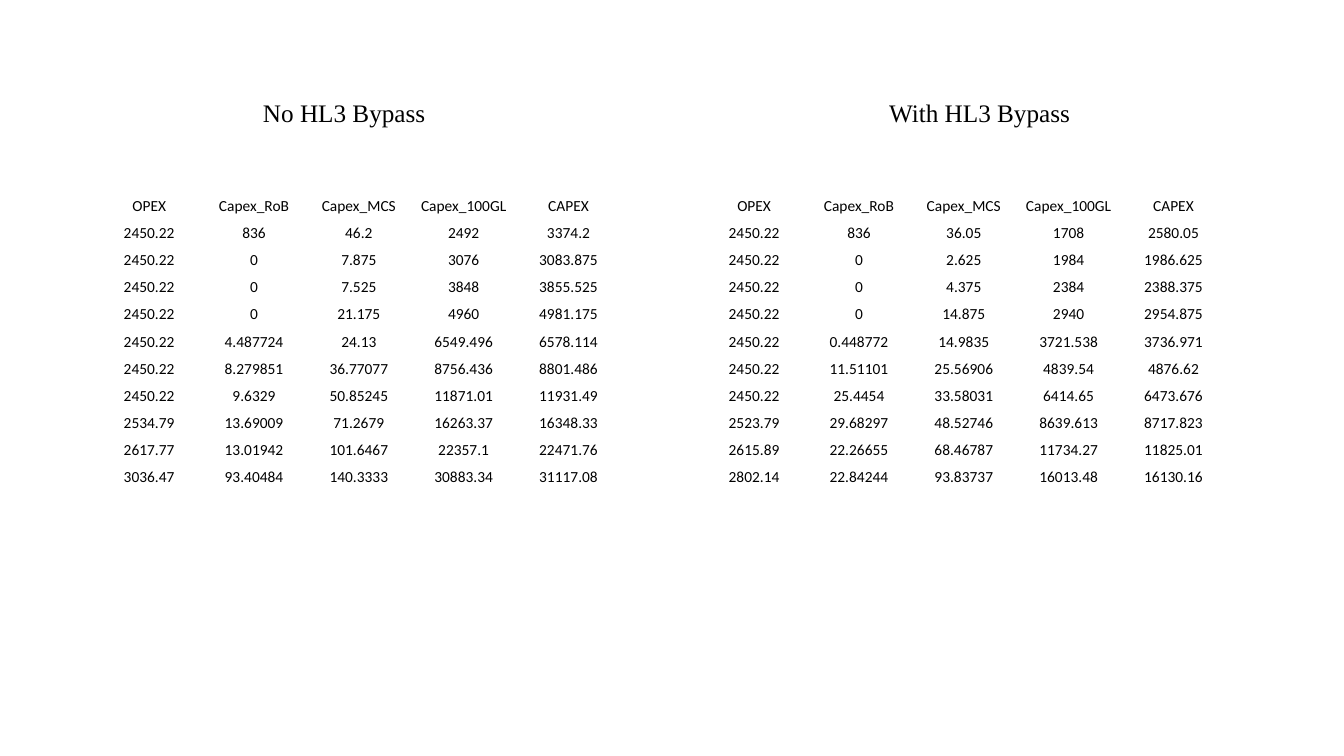
import pptx
import pptx.util
import pptx.dml.color
import pptx.enum.text
from dataclasses import dataclass

Inches, Pt = pptx.util.Inches, pptx.util.Pt
Align, Anchor = pptx.enum.text.PP_ALIGN, pptx.enum.text.MSO_ANCHOR


@dataclass(frozen=True)
class Theme:
    ink = pptx.dml.color.RGBColor(0, 0, 0)
    head = {"name": "Times New Roman", "size": Pt(18), "bold": False}
    body = {"name": "Calibri", "size": Pt(11), "bold": False}


@dataclass
class Box:
    left: float
    top: float
    width: float
    height: float


CELL = {
    "margin_left": Inches(0.01),
    "margin_right": Inches(0.01),
    "margin_top": Inches(0.01),
    "margin_bottom": 0,
    "vertical_anchor": Anchor.BOTTOM,
}
PLAIN = {"first_row": False, "horz_banding": False}
FRAME = {"word_wrap": True, "auto_size": pptx.enum.text.MSO_AUTO_SIZE.SHAPE_TO_FIT_TEXT}
HEADS = ["OPEX", "Capex_RoB", "Capex_MCS", "Capex_100GL", "CAPEX"]

DIRECT = """
2450.22 836 46.2 2492 3374.2
2450.22 0 7.875 3076 3083.875
2450.22 0 7.525 3848 3855.525
2450.22 0 21.175 4960 4981.175
2450.22 4.487724 24.13 6549.496 6578.114
2450.22 8.279851 36.77077 8756.436 8801.486
2450.22 9.6329 50.85245 11871.01 11931.49
2534.79 13.69009 71.2679 16263.37 16348.33
2617.77 13.01942 101.6467 22357.1 22471.76
3036.47 93.40484 140.3333 30883.34 31117.08
"""

BYPASS = """
2450.22 836 36.05 1708 2580.05
2450.22 0 2.625 1984 1986.625
2450.22 0 4.375 2384 2388.375
2450.22 0 14.875 2940 2954.875
2450.22 0.448772 14.9835 3721.538 3736.971
2450.22 11.51101 25.56906 4839.54 4876.62
2450.22 25.4454 33.58031 6414.65 6473.676
2523.79 29.68297 48.52746 8639.613 8717.823
2615.89 22.26655 68.46787 11734.27 11825.01
2802.14 22.84244 93.83737 16013.48 16130.16
"""


def assign(item, values):
    for key, value in values.items():
        setattr(item, key, value)


def write(frame, text, font, align):
    para = frame.paragraphs[0]
    para.alignment = align
    run = para.add_run()
    run.text = text
    assign(run.font, font)
    run.font.color.rgb = Theme.ink


def add_head(slide, box, text):
    shape = slide.shapes.add_textbox(
        Inches(box.left), Inches(box.top), Inches(box.width), Inches(box.height))
    assign(shape.text_frame, FRAME)
    write(shape.text_frame, text, Theme.head, Align.LEFT)


def add_grid(slide, box, data):
    rows = [HEADS] + [line.split() for line in data.strip().splitlines()]
    table = slide.shapes.add_table(
        len(rows), len(HEADS), Inches(box.left), Inches(box.top),
        Inches(box.width), Inches(box.height)).table
    assign(table, PLAIN)
    for col in table.columns:
        col.width = Inches(box.width / len(HEADS))
    # The header row is taller than the rows of figures
    first = 0.51
    step = (box.height - first) / (len(rows) - 1)
    for r, values in enumerate(rows):
        table.rows[r].height = Inches(step if r else first)
        for c, value in enumerate(values):
            cell = table.cell(r, c)
            cell.fill.background()
            assign(cell, CELL)
            write(cell.text_frame, value, Theme.body, Align.CENTER)


def add_panel(slide, box, title, inset, width, data):
    # Heading above the table
    add_head(slide, Box(box.left + inset, box.top, width, 0.4), title)
    # Cost table fills the rest of the panel
    drop = 0.71
    add_grid(slide, Box(box.left, box.top + drop, box.width, box.height - drop), data)


def main():
    deck = pptx.Presentation()
    deck.slide_width, deck.slide_height = Inches(13.33), Inches(7.5)
    slide = deck.slides.add_slide(deck.slide_layouts[6])
    panels = [
        ("No HL3 Bypass", 1.55, 1.85, DIRECT),
        ("With HL3 Bypass", 1.76, 2.1, BYPASS),
    ]
    # Two panels side by side
    for i, panel in enumerate(panels):
        add_panel(slide, Box(0.96 + 6 * i, 0.92, 5.2, 3.91), *panel)
    deck.save("out.pptx")


if __name__ == "__main__":
    main()
